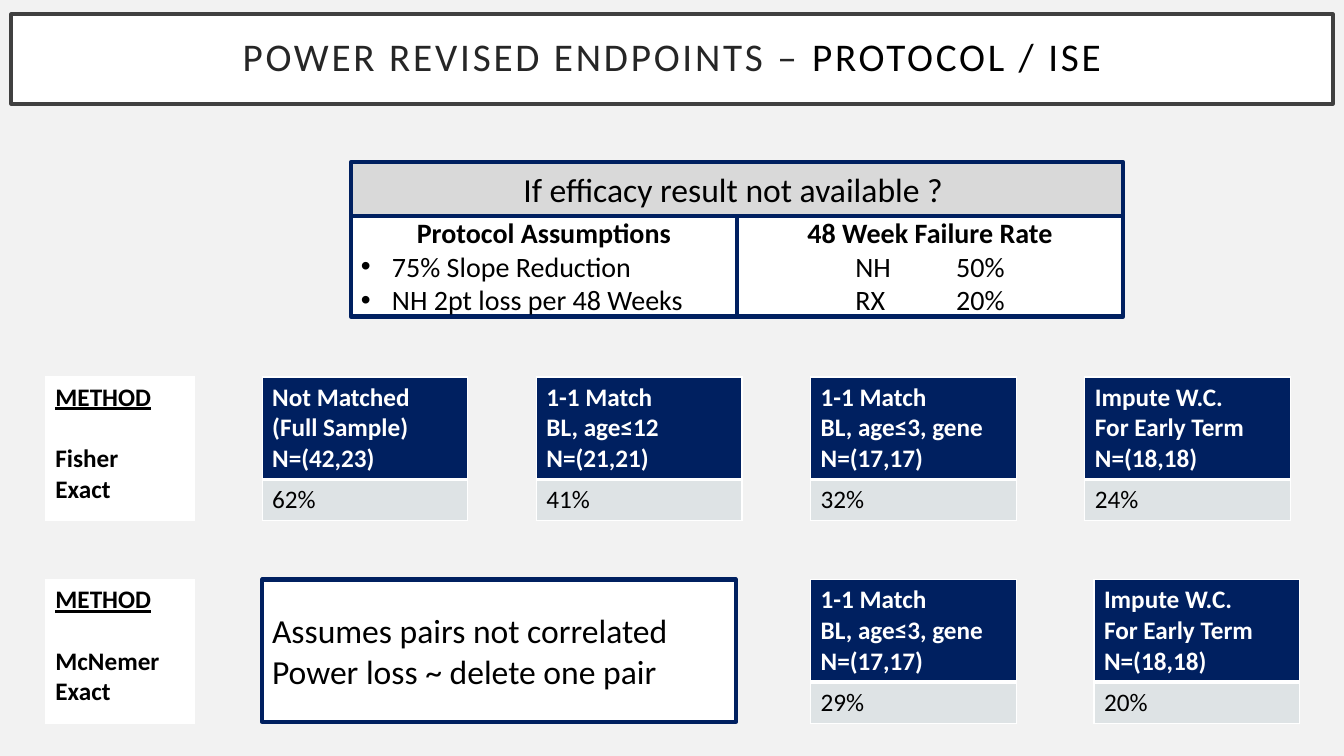
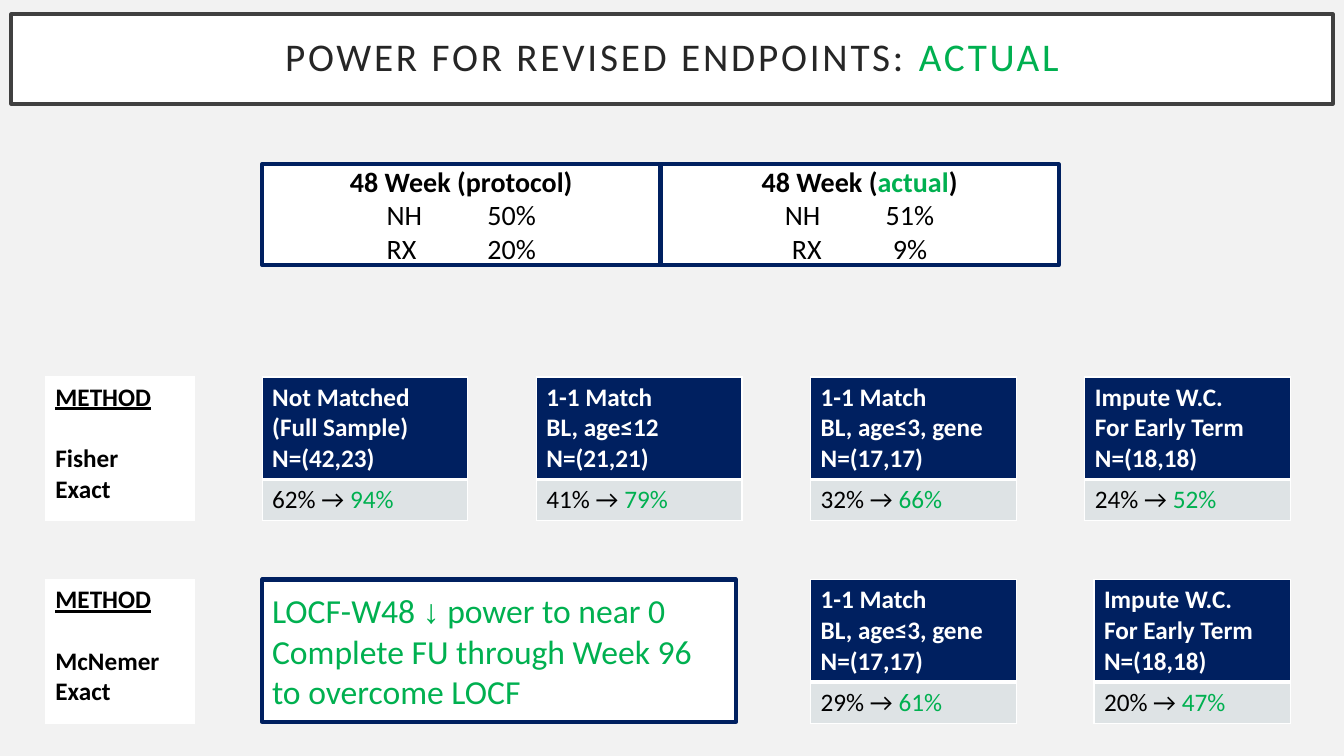
import pptx
import pptx.dml.color
import pptx.enum.shapes
import pptx.enum.text
import pptx.oxml
import pptx.oxml.ns
import pptx.util
from dataclasses import dataclass

Inches, Pt = pptx.util.Inches, pptx.util.Pt
Align = pptx.enum.text.PP_ALIGN
Anchor = pptx.enum.text.MSO_ANCHOR


@dataclass(frozen=True)
class Theme:
    font: str = "Calibri"
    symbol: str = "Arial"
    back: str = "F2F2F2"
    white: str = "FFFFFF"
    black: str = "000000"
    navy: str = "002060"
    green: str = "00B050"
    frame: str = "404040"
    title: str = "262626"
    band: str = "D9D9D9"
    value: str = "DEE3E5"
    head: int = 28
    large: int = 24
    mid: int = 20
    small: int = 18


T = Theme()

# Grid: the method column, then four result columns on an equal pitch
WIDE, HIGH = 13.33, 7.5
LEFT, SIDE = 0.45, 1.48
START, PITCH, COL = 2.6, 2.72, 2.04
TOPS = (3.74, 5.75)
HEAD, VALUE = 1.0, 0.41
NOTE = 4.7
PANEL = 1.0
SHIFT = 0.09

# A paragraph is a string, or a list of runs: (text, colour[, font])
METHODS = ("Fisher", "McNemer")
GROUPS = (
    ["Not Matched (Full Sample)", "N=(42,23)"],
    ["1-1 Match", "BL, age≤12", "N=(21,21)"],
    ["1-1 Match", "BL, age≤3, gene", "N=(17,17)"],
    ["Impute W.C.", "For Early Term", "N=(18,18)"],
)
PLAN = (("62%", "41%", "32%", "24%"), (None, None, "29%", "20%"))
ACTUAL = (("94%", "79%", "66%", "52%"), (None, None, "61%", "47%"))

SLIDES = (
    {
        "title": [("POWER REVISED ENDPOINTS – ", T.title),
                  ("PROTOCOL / ISE", T.black)],
        "band": "If efficacy result not available ? ",
        "panels": (
            {"head": "Protocol Assumptions", "bullets": True,
             "rows": ["75% Slope Reduction", "NH 2pt loss per 48 Weeks"]},
            {"head": "48 Week Failure Rate",
             "rows": ["NH\t\t50%", "RX\t\t20%"]},
        ),
        "place": (3.48, 2.14, 3.83),
        "note": ["Assumes pairs not correlated", "Power loss ~ delete one pair"],
        "actual": None,
        "last": COL,
    },
    {
        "title": [("POWER FOR REVISED ENDPOINTS: ", T.title),
                  ("ACTUAL", T.green)],
        "band": None,
        "panels": (
            {"head": "48 Week (protocol)", "rows": ["NH\t\t50%", "RX\t\t20%"]},
            {"head": [("48 Week (", T.black), ("actual", T.green),
                      (")", T.black)],
             "rows": ["NH\t\t51%", "RX\t\t9%"]},
        ),
        "place": (START, 1.63, 3.95),
        "note": [
            [("LOCF-W48 ", T.green), ("↓", T.green, T.symbol),
             (" power to near 0", T.green)],
            [("Complete FU through Week 96 to overcome LOCF", T.green)],
        ],
        "actual": ACTUAL,
        "last": COL - SHIFT,
    },
)


def rgb(code):
    return pptx.dml.color.RGBColor.from_string(code)


def paint(item, fill, line=None, width=0):
    item.fill.solid()
    item.fill.fore_color.rgb = rgb(fill)
    if line:
        item.line.color.rgb = rgb(line)
        item.line.width = Pt(width)


def place(item, x, y, w, h):
    item.left, item.top, item.width, item.height = map(Inches, (x, y, w, h))


def write(par, text, size, color=T.black, bold=False, align=Align.LEFT):
    par.alignment = align
    font = par.font
    font.name, font.size, font.bold = T.font, Pt(size), bold
    font.color.rgb = rgb(color)
    for words, *style in [(text,)] if isinstance(text, str) else text:
        run = par.add_run()
        run.text = words
        if style:
            run.font.color.rgb = rgb(style[0])
        if len(style) > 1:
            run.font.name = style[1]


def lines(frame, count):
    """Return the frame's first paragraph and enough new ones after it."""
    return [frame.paragraphs[0]] + [frame.add_paragraph()
                                    for _ in range(count - 1)]


def bullet(par):
    props = par._p.get_or_add_pPr()
    props.set("marL", str(Inches(0.31)))
    props.set("indent", str(-Inches(0.31)))
    for tag, key, val in (("buFont", "typeface", T.symbol),
                          ("buChar", "char", "•")):
        node = pptx.oxml.parse_xml(
            f'<a:{tag} {pptx.oxml.ns.nsdecls("a")} {key}="{val}"/>')
        props.append(node)


def box(shapes, x, y, w, h, fill=T.white):
    shape = shapes.add_shape(pptx.enum.shapes.MSO_SHAPE.RECTANGLE,
                             *map(Inches, (x, y, w, h)))
    shape.shadow.inherit = False
    paint(shape, fill, T.navy, 3)
    shape.text_frame.word_wrap = True
    shape.text_frame.vertical_anchor = Anchor.MIDDLE
    return shape.text_frame


def edge(cell, bottom):
    """Give a cell white borders, with its own bottom width in points."""
    props = cell._tc.get_or_add_tcPr()
    for at, side in enumerate("LRTB"):
        width = Pt(bottom if side == "B" else 1)
        props.insert(at, pptx.oxml.parse_xml(
            f'<a:ln{side} {pptx.oxml.ns.nsdecls("a")} w="{width}"><a:solidFill>'
            f'<a:srgbClr val="{T.white}"/></a:solidFill></a:ln{side}>'))


def grid(slide, x, y, w, rows):
    """Add a one-column table; rows are (height, fill, bottom width)."""
    total = sum(row[0] for row in rows)
    table = slide.shapes.add_table(
        len(rows), 1, *map(Inches, (x, y, w, total))).table
    table.first_row = table.horz_banding = False
    for at, (high, fill, bottom) in enumerate(rows):
        table.rows[at].height = Inches(high)
        paint(table.cell(at, 0), fill)
        edge(table.cell(at, 0), bottom)
    return [table.cell(at, 0).text_frame for at in range(len(rows))]


def method(slide, y, name):
    frame, = grid(slide, LEFT, y, SIDE, [(HEAD + VALUE, T.white, 3)])
    pars = lines(frame, 3)
    for par, text in zip(pars, ("METHOD", name, "Exact")):
        write(par, text, T.small, bold=True)
    pars[0].font.underline = True
    pars[1].space_before = Pt(22)


def result(slide, x, y, w, group, value):
    head, body = grid(slide, x, y, w,
                      [(HEAD, T.navy, 3), (VALUE, T.value, 1)])
    for par, text in zip(lines(head, len(group)), group):
        write(par, text, T.small, T.white, True)
    write(body.paragraphs[0], value, T.small)


def panels(slide, data):
    x, y, w = data["place"]
    shapes = slide.shapes.add_group_shape().shapes
    for at, panel in enumerate(data["panels"]):
        frame = box(shapes, x + at * w, y, w, PANEL)
        first, *rest = lines(frame, 1 + len(panel["rows"]))
        write(first, panel["head"], T.mid, bold=True, align=Align.CENTER)
        for par, text in zip(rest, panel["rows"]):
            if panel.get("bullets"):
                bullet(par)
                write(par, text, T.mid)
            else:
                write(par, text, T.mid, align=Align.CENTER)
    if data["band"]:
        frame = box(shapes, x, y - 0.53, 2 * w, 0.53, T.band)
        write(frame.paragraphs[0], data["band"], T.large, align=Align.CENTER)


def head(slide, text):
    title = slide.shapes.title
    place(title, 0.11, 0.14, WIDE - 0.22, 0.89)
    paint(title, T.white, T.frame, 2.5)
    frame = title.text_frame
    frame.vertical_anchor = Anchor.MIDDLE
    frame.margin_left = frame.margin_right = Inches(0.2)
    frame.margin_top = frame.margin_bottom = Inches(0.2)
    par = frame.paragraphs[0]
    par.line_spacing = 0.9
    write(par, text, T.head, T.title, align=Align.CENTER)
    for run in par.runs:
        run.font._element.set("spc", "200")


def build(deck, data):
    slide = deck.slides.add_slide(deck.slide_layouts.get_by_name("Title Only"))
    head(slide, data["title"])
    panels(slide, data)
    for row, (y, name) in enumerate(zip(TOPS, METHODS)):
        method(slide, y, name)
        for col, (group, plan) in enumerate(zip(GROUPS, PLAN[row])):
            if plan is None:
                continue
            value = plan
            if data["actual"]:
                value = [(plan + " → ", T.black),
                         (data["actual"][row][col], T.green)]
            x, w = START + col * PITCH, COL
            if (row, col) == (1, 3):
                x, w = x + SHIFT, data["last"]
            result(slide, x, y, w, group, value)
    frame = box(slide.shapes, START, TOPS[1], NOTE, HEAD + VALUE)
    for par, text in zip(lines(frame, len(data["note"])), data["note"]):
        write(par, text, T.large)


def main():
    deck = pptx.Presentation()
    deck.slide_width, deck.slide_height = Inches(WIDE), Inches(HIGH)
    fill = deck.slide_master.background.fill
    fill.solid()
    fill.fore_color.rgb = rgb(T.back)
    for data in SLIDES:
        build(deck, data)
    deck.save("out.pptx")


if __name__ == "__main__":
    main()
